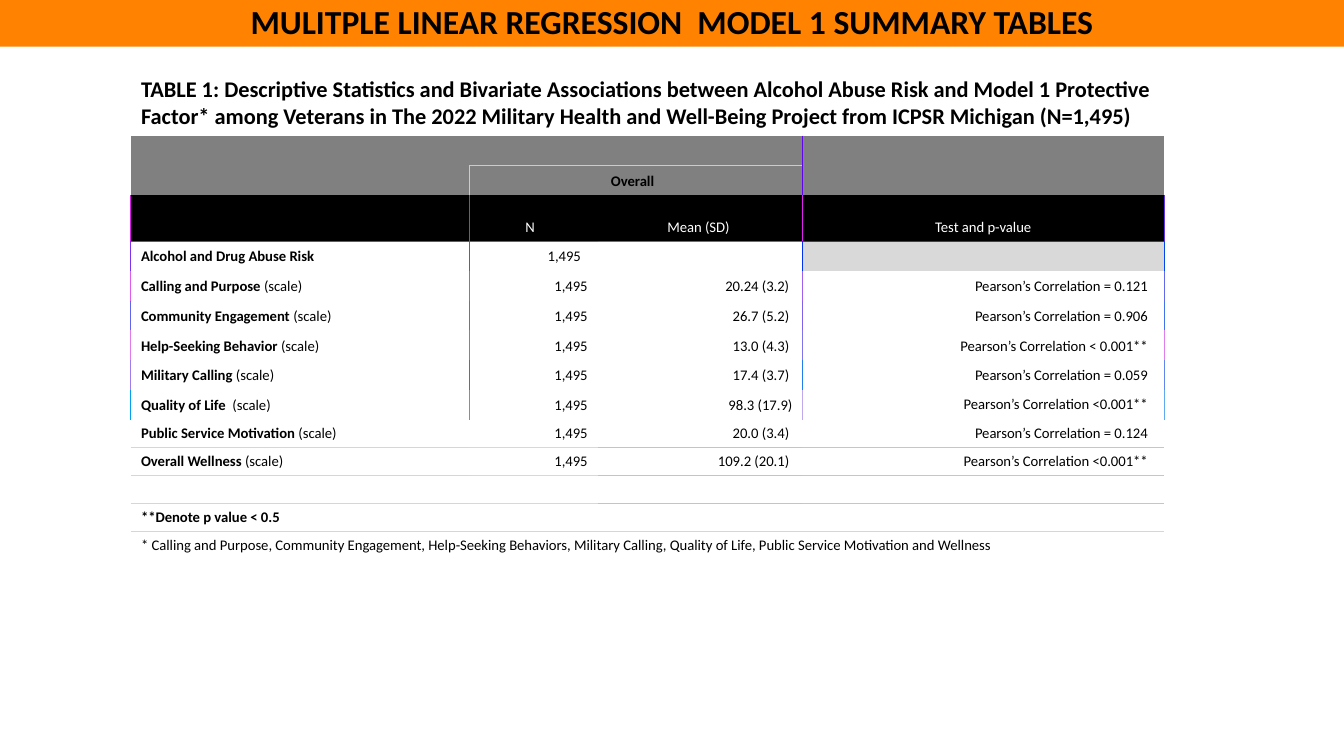
from lxml.etree import SubElement
from pptx import Presentation
from pptx.dml.color import RGBColor
from pptx.enum.shapes import MSO_SHAPE
from pptx.enum.text import MSO_ANCHOR, PP_ALIGN
from pptx.oxml.ns import qn
from pptx.util import Cm, Pt

# Content
TITLE = "MULITPLE LINEAR REGRESSION  MODEL 1 SUMMARY TABLES"
CAPTION = ("TABLE 1: Descriptive Statistics and Bivariate Associations between Alcohol Abuse Risk "
           "and Model 1 Protective Factor* among Veterans in The 2022 Military Health and "
           "Well-Being Project from ICPSR Michigan (N=1,495)")
HEADERS = ["", "N", "Mean (SD)", "Test and p-value"]
FACTORS = [  # bold label, plain label, N, mean, test
    ("Alcohol and Drug Abuse Risk", "", "1,495", "", ""),
    ("Calling and Purpose ", "(scale)", "1,495", "20.24 (3.2)", "Pearson’s Correlation = 0.121"),
    ("Community Engagement ", "(scale)", "1,495", "26.7 (5.2)", "Pearson’s Correlation = 0.906"),
    ("Help-Seeking Behavior ", "(scale)", "1,495", "13.0 (4.3)", "Pearson’s Correlation < 0.001**"),
    ("Military Calling ", "(scale)", "1,495", "17.4 (3.7)", "Pearson’s Correlation = 0.059"),
    ("Quality of Life", "  (scale)", "1,495", "98.3 (17.9)", "Pearson’s Correlation <0.001**"),
    ("Public Service Motivation ", "(scale)", "1,495", "20.0 (3.4)", "Pearson’s Correlation = 0.124"),
    ("Overall Wellness ", "(scale)", "1,495", "109.2 (20.1)", "Pearson’s Correlation <0.001**"),
]
P_VALUE_NOTE = "**Denote p value < 0.5"
FACTOR_NOTE = ("* Calling and Purpose, Community Engagement, Help-Seeking Behaviors, Military Calling, "
               "Quality of Life, Public Service Motivation and Wellness")

# Row numbers
CAPTION_ROW, SPACER_ROW, OVERALL_ROW, HEADER_ROW, FIRST_FACTOR = range(5)
QUALITY_ROW, P_VALUE_ROW, NOTE_ROW = 9, 13, 14

# Line colours: left edge, after column 0, after column 2, right edge
VERTICAL_LINES = {
    1: (None, None, "6006EF", None),
    2: (None, "60FDEE", "6002EF", None),
    3: ("E017EF", "C01CEF", "E022EF", "6030EF"),
    4: ("8030EF", "A02CEF", "0032EF", "0045EF"),
    5: ("E05AEE", "A05BEE", "A05FEE", "6068EE"),
    6: ("6064EE", "6068EE", "8061EE", "4072EE"),
    7: ("E078EE", "8074EE", "8074EE", "E07DEE"),
    8: ("A07BEE", "207DEE", "207EEE", "6085EE"),
    9: ("00A1EE", "40A1EE", "C0A8EE", "60A9EE"),
}
# Line colours below a row, one for each column
FOOT_LINES = ("C0DCEE", "C0E0EE", "80DFEE", "80E2EE")
HORIZONTAL_LINES = {
    1: (None, "60FDEE", "60FDEE", None),
    3: ("8030EF", "A02CEF", "C02CEF", "0045EF"),
    **{row: FOOT_LINES for row in range(10, 14)},
}
NO_LINES = (None,) * 4

# Style
FONT = "Calibri"
ORANGE = RGBColor(0xFF, 0x83, 0x00)
BLACK = RGBColor(0x00, 0x00, 0x00)
WHITE = RGBColor(0xFF, 0xFF, 0xFF)
GRAY = RGBColor(0x80, 0x80, 0x80)
LIGHT_GRAY = RGBColor(0xD9, 0xD9, 0xD9)
BODY_SIZE = 10.5
COLUMN_WIDTHS = [8.53, 3.23, 5.16, 9.12]
ROW_HEIGHTS = [1.63, 0.75, 0.75, 1.16] + [0.75] * 6 + [0.7] * 5
RIGHT_MARGINS = [0.25, 0.25, 0.33, 0.41]


def add_run(paragraph, text, size=BODY_SIZE, bold=False, color=BLACK):
    run = paragraph.add_run()
    run.text = text
    run.font.name = FONT
    run.font.size = Pt(size)
    run.font.bold = bold
    run.font.color.rgb = color


def write_cell(row, column, text, align=PP_ALIGN.LEFT, **style):
    paragraph = table.cell(row, column).text_frame.paragraphs[0]
    paragraph.alignment = align
    if text:
        add_run(paragraph, text, **style)


def draw_borders(cell, row, column):
    left, inner, middle, right = VERTICAL_LINES.get(row, NO_LINES)
    edges = (left, inner, None, middle, right)
    colors = {
        "a:lnL": edges[column],
        "a:lnR": edges[column + (2 if cell.is_merge_origin else 1)] if row != CAPTION_ROW else None,
        "a:lnT": HORIZONTAL_LINES.get(row - 1, NO_LINES)[column],
        "a:lnB": HORIZONTAL_LINES.get(row, NO_LINES)[column],
    }
    properties = cell._tc.get_or_add_tcPr()
    for tag, color in colors.items():
        line = SubElement(properties, qn(tag), w=str(Pt(0.75)))
        if color:
            fill = SubElement(line, qn("a:solidFill"))
            SubElement(fill, qn("a:srgbClr"), val=color)
        else:
            SubElement(line, qn("a:noFill"))


def cell_fill(row, column):
    if row in (SPACER_ROW, OVERALL_ROW):
        return GRAY
    if row == HEADER_ROW:
        return BLACK
    return LIGHT_GRAY if (row, column) == (FIRST_FACTOR, 3) else None


presentation = Presentation()
presentation.slide_width = Cm(33.87)
presentation.slide_height = Cm(19.05)
slide = presentation.slides.add_slide(presentation.slide_layouts[6])

# Title band
band = slide.shapes.add_shape(MSO_SHAPE.RECTANGLE, Cm(0), Cm(-0.1), Cm(33.87), Cm(1.28))
band.shadow.inherit = False
band.fill.solid()
band.fill.fore_color.rgb = ORANGE
band.line.fill.background()
band.text_frame.word_wrap = True
band.text_frame.vertical_anchor = MSO_ANCHOR.MIDDLE
title = band.text_frame.paragraphs[0]
title.alignment = PP_ALIGN.CENTER
add_run(title, TITLE, size=24, bold=True)

# Table grid
table = slide.shapes.add_table(
    len(ROW_HEIGHTS), len(COLUMN_WIDTHS), Cm(3.3), Cm(1.78),
    Cm(sum(COLUMN_WIDTHS)), Cm(sum(ROW_HEIGHTS))).table
table.first_row = False
table.horz_banding = False
for column, width in zip(table.columns, COLUMN_WIDTHS):
    column.width = Cm(width)
for row, height in zip(table.rows, ROW_HEIGHTS):
    row.height = Cm(height)
for row in (CAPTION_ROW, NOTE_ROW):
    table.cell(row, 0).merge(table.cell(row, 3))
table.cell(OVERALL_ROW, 1).merge(table.cell(OVERALL_ROW, 2))

# Cell borders, fills and margins
for row in range(len(ROW_HEIGHTS)):
    for column in range(len(COLUMN_WIDTHS)):
        cell = table.cell(row, column)
        draw_borders(cell, row, column)
        color = cell_fill(row, column)
        if color is None:
            cell.fill.background()
        else:
            cell.fill.solid()
            cell.fill.fore_color.rgb = color
        cell.vertical_anchor = MSO_ANCHOR.BOTTOM
        cell.text_frame.paragraphs[0].font.size = Pt(BODY_SIZE)
        if FIRST_FACTOR <= row < P_VALUE_ROW:
            cell.margin_right = Cm(RIGHT_MARGINS[column])
table.cell(FIRST_FACTOR, 1).margin_right = Cm(0.42)
table.cell(OVERALL_ROW, 1).margin_right = Cm(0.42)
table.cell(HEADER_ROW, 1).margin_right = Cm(0.42)
table.cell(HEADER_ROW, 2).margin_right = Cm(0.33)
table.cell(QUALITY_ROW, 2).margin_right = Cm(0.25)
table.cell(QUALITY_ROW, 3).vertical_anchor = MSO_ANCHOR.MIDDLE

# Table text
write_cell(CAPTION_ROW, 0, CAPTION, size=16, bold=True)
write_cell(OVERALL_ROW, 1, "Overall", PP_ALIGN.CENTER, bold=True)
for column, header in enumerate(HEADERS):
    write_cell(HEADER_ROW, column, header, PP_ALIGN.CENTER, color=WHITE)
for row, (name, suffix, *values) in enumerate(FACTORS, start=FIRST_FACTOR):
    write_cell(row, 0, name, bold=True)
    write_cell(row, 0, suffix)
    for column, value in enumerate(values, start=1):
        write_cell(row, column, value, PP_ALIGN.RIGHT)
write_cell(P_VALUE_ROW, 0, P_VALUE_NOTE, bold=True)
write_cell(NOTE_ROW, 0, FACTOR_NOTE)

presentation.save("out.pptx")
